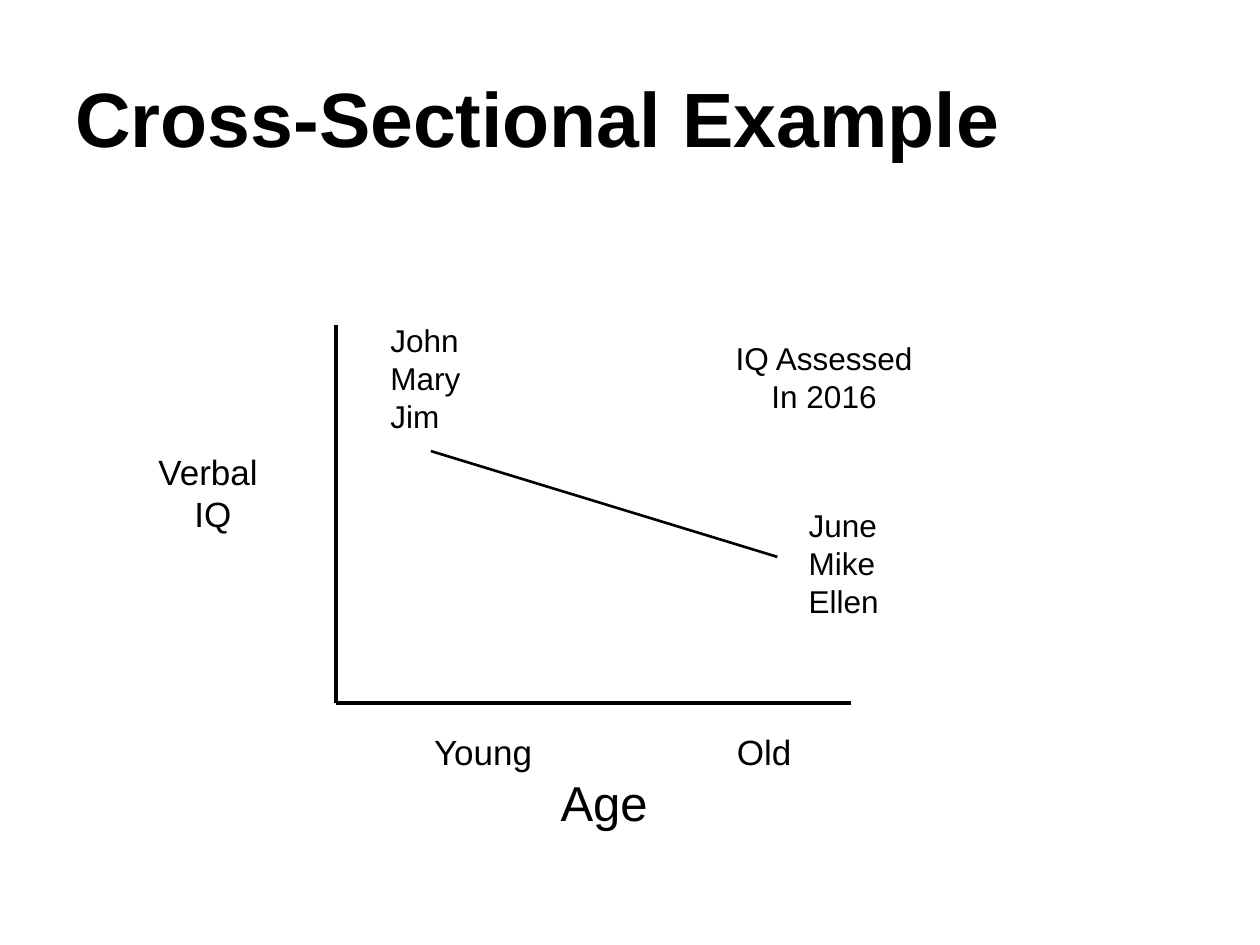
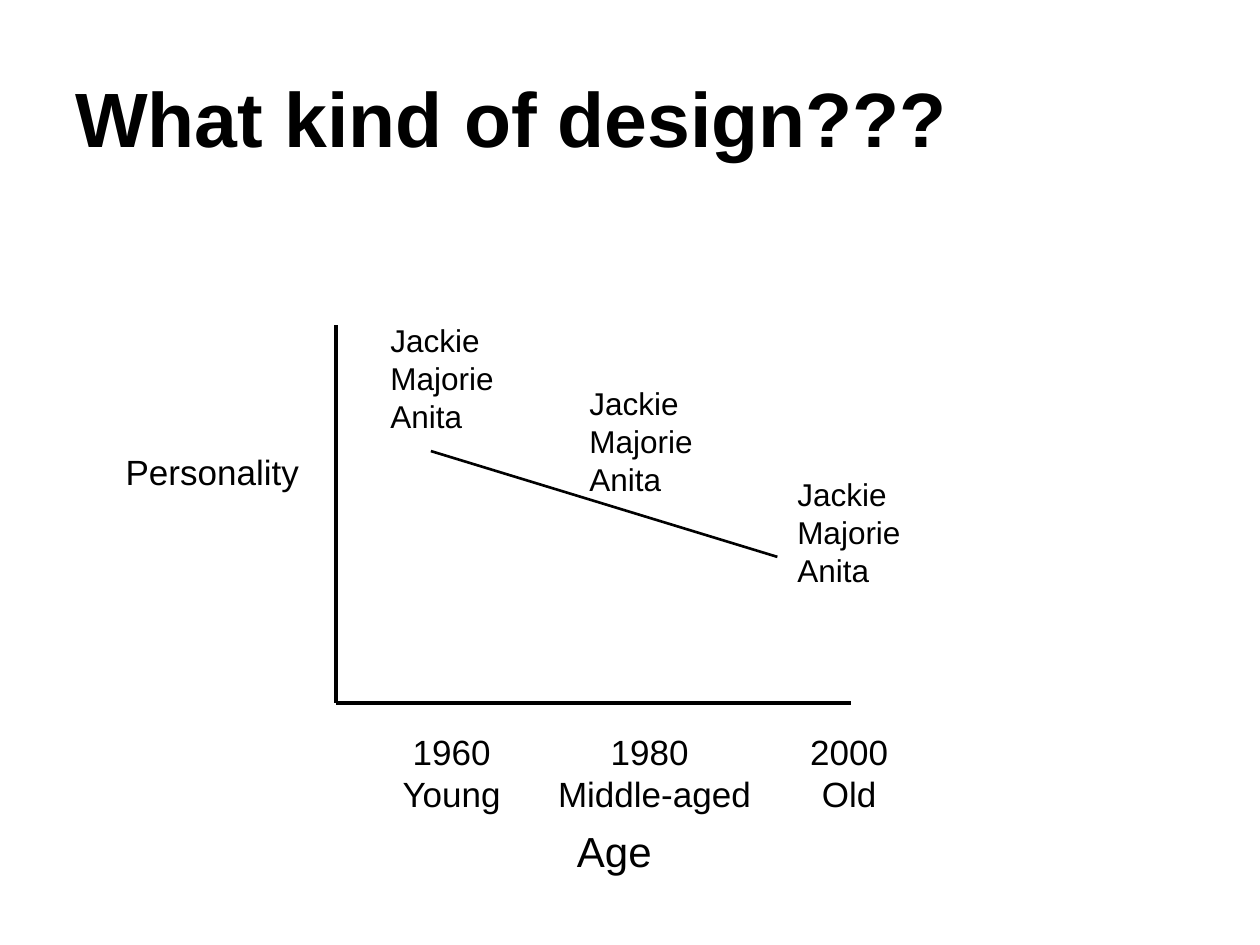
from lxml.etree import SubElement
from pptx import Presentation
from pptx.dml.color import RGBColor
from pptx.enum.shapes import MSO_CONNECTOR as Connector
from pptx.enum.text import MSO_ANCHOR as Anchor, PP_ALIGN as Align
from pptx.oxml.ns import qn
from pptx.util import Inches, Pt

FONT = "Arial"
INK = "000000"
ORIGIN = (2.67, 5.58)
AXIS_TOP = (2.67, 2.58)
AXIS_END = (6.75, 5.58)
TREND = ((3.42, 3.58), (6.17, 4.42))
TICK_TOP = 5.75
PANEL = ("Jackie", "Majorie", "Anita")


def color(hex_code):
    return RGBColor.from_string(hex_code)


def add_label(slide, box, lines, size, align=Align.LEFT, bold=False,
              anchor=Anchor.TOP, wrap=False):
    label = slide.shapes.add_textbox(*map(Inches, box))
    frame = label.text_frame
    frame.word_wrap = wrap
    frame.vertical_anchor = anchor
    for index, line in enumerate(lines):
        paragraph = frame.paragraphs[0] if index == 0 else frame.add_paragraph()
        paragraph.alignment = align
        run = paragraph.add_run()
        run.text = line
        run.font.name = FONT
        run.font.size = Pt(size)
        run.font.bold = bold
        run.font.color.rgb = color(INK)


def add_title(slide, title):
    add_label(slide, (0.5, 0.3, 9, 1.25), [title], 44, bold=True,
              anchor=Anchor.MIDDLE, wrap=True)


def add_line(slide, start, end, weight):
    line = slide.shapes.add_connector(
        Connector.STRAIGHT, *map(Inches, (*start, *end)))
    line.line.color.rgb = color(INK)
    line.line.width = Pt(weight)
    SubElement(line._element.spPr, qn("a:effectLst"))


def add_names(slide, box, names):
    add_label(slide, box, names, 18)


def add_axis_label(slide, box, lines):
    add_label(slide, box, lines, 20, Align.CENTER)


def add_tick(slide, left, width, lines):
    add_axis_label(slide, (left, TICK_TOP, width, 0.1 + 0.33 * len(lines)), lines)


def add_age(slide, left, top, size):
    add_label(slide, (left, top, 1.75, 0.58), ["Age"], size, Align.CENTER, wrap=True)


def add_graph_slide(deck, title):
    slide = deck.slides.add_slide(deck.slide_layouts[6])
    add_title(slide, title)
    add_line(slide, AXIS_TOP, ORIGIN, 2.25)
    add_line(slide, ORIGIN, AXIS_END, 2.25)
    add_line(slide, *TREND, 1.5)
    return slide


def add_cross_sectional(deck):
    slide = add_graph_slide(deck, "Cross-Sectional Example")
    add_axis_label(slide, (1.15, 3.53, 1.08, 0.77), ["Verbal ", "IQ"])
    add_age(slide, 3.92, 6.08, 28)
    add_tick(slide, 3.33, 1.01, ["Young"])
    add_tick(slide, 5.75, 0.63, ["Old"])
    add_label(slide, (5.73, 2.64, 1.62, 0.71), ["IQ Assessed", "In 2016"],
              18, Align.CENTER)
    add_names(slide, (3, 2.5, 0.76, 1), ["John", "Mary", "Jim"])
    add_names(slide, (6.32, 3.97, 0.76, 1), ["June", "Mike", "Ellen"])


def add_design_question(deck):
    slide = add_graph_slide(deck, "What kind of design???")
    add_axis_label(slide, (0.89, 3.53, 1.59, 0.44), ["Personality"])
    add_age(slide, 4, 6.5, 24)
    for left, width, lines in (
        (3.08, 1.01, ["1960", "Young"]),
        (4.33, 1.73, ["1980 ", "Middle-aged"]),
        (6.33, 0.82, ["2000", "Old"]),
    ):
        add_tick(slide, left, width, lines)
    for left, top in ((3, 2.5), (4.58, 3), (6.23, 3.72)):
        add_names(slide, (left, top, 1.03, 1.01), PANEL)


def main():
    deck = Presentation()
    deck.slide_width = Inches(10)
    deck.slide_height = Inches(7.5)
    add_cross_sectional(deck)
    add_design_question(deck)
    deck.save("out.pptx")


if __name__ == "__main__":
    main()
